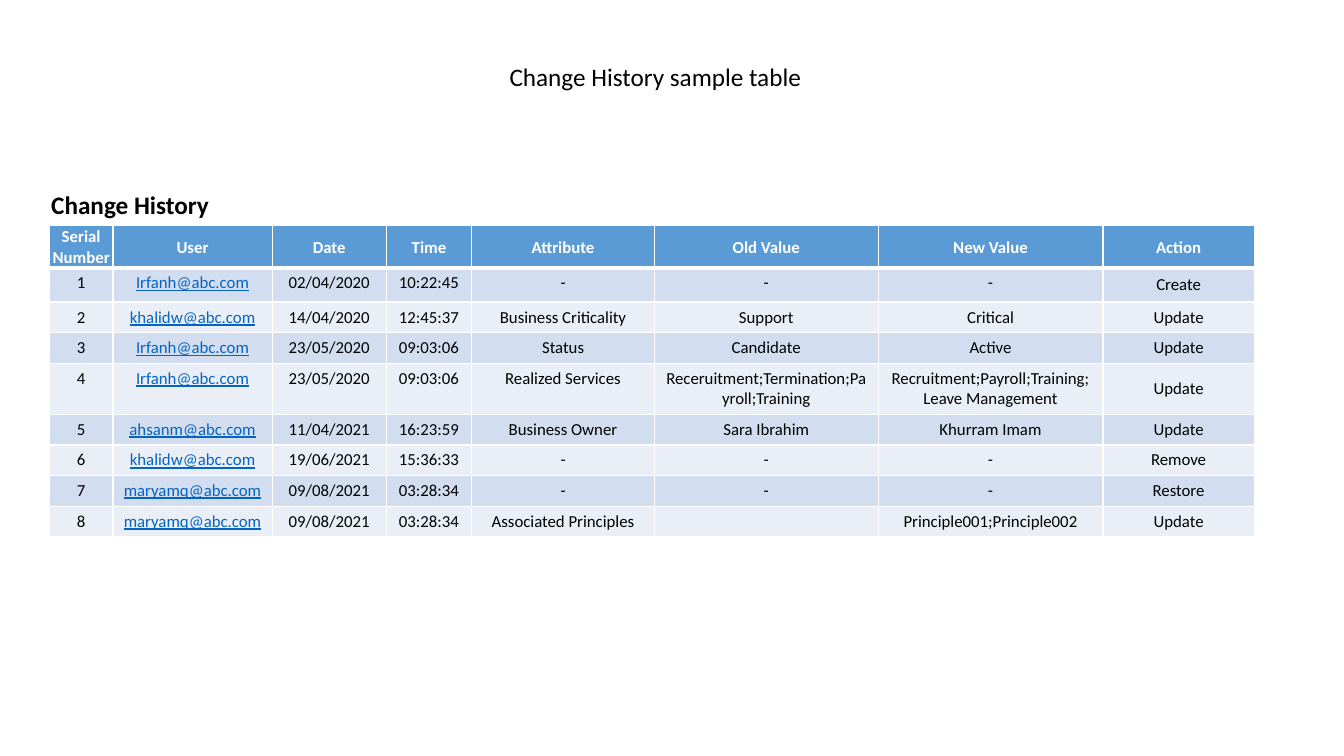
from lxml.etree import SubElement
from pptx import Presentation
from pptx.dml.color import RGBColor
from pptx.enum.text import MSO_ANCHOR as Anchor, PP_ALIGN as Align
from pptx.oxml import parse_xml
from pptx.oxml.ns import nsdecls, qn
from pptx.util import Inches, Pt

WIDTH, HEIGHT = 13.33, 7.5
BLACK, WHITE, LINK, HEADER = "000000", "FFFFFF", "0563C1", "5B9BD5"
BANDS = ("D2DEEF", "EAEFF7")
HEADINGS = ("Serial Number", "User", "Date", "Time", "Attribute", "Old Value", "New Value", "Action")
CHANGES = [
    ("Irfanh@abc.com", "02/04/2020", "10:22:45", "-", "-", "-", "Create"),
    ("khalidw@abc.com", "14/04/2020", "12:45:37", "Business Criticality", "Support", "Critical", "Update"),
    ("Irfanh@abc.com", "23/05/2020", "09:03:06", "Status", "Candidate", "Active", "Update"),
    ("Irfanh@abc.com", "23/05/2020", "09:03:06", "Realized Services",
     "Receruitment;Termination;Payroll;Training", "Recruitment;Payroll;Training;Leave Management", "Update"),
    ("ahsanm@abc.com", "11/04/2021", "16:23:59", "Business Owner", "Sara Ibrahim", "Khurram Imam", "Update"),
    ("khalidw@abc.com", "19/06/2021", "15:36:33", "-", "-", "-", "Remove"),
    ("maryamq@abc.com", "09/08/2021", "03:28:34", "-", "-", "-", "Restore"),
    ("maryamq@abc.com", "09/08/2021", "03:28:34", "Associated Principles", "", "Principle001;Principle002", "Update"),
]
ROWS = [HEADINGS] + [(str(number), *change) for number, change in enumerate(CHANGES, 1)]
COLUMN_WIDTHS = (0.63, 1.58, 1.13, 0.85, 1.81, 2.22, 2.23, 1.5)
ROW_HEIGHTS = (0.41, 0.34, 0.3, 0.3, 0.5, 0.3, 0.3, 0.3, 0.3)
TABLE_LEFT, TABLE_TOP = 0.49, 2.24
TITLES = [
    ("Change History", (0.41, 1.83, 2.01, 0.4), Align.LEFT, True),
    ("Change History sample table", (2.45, 0.56, 8.1, 0.4), Align.CENTER, False),
]
HEADER_MARGINS = {"margin_left": Inches(0.01), "margin_top": Inches(0.01),
                  "margin_right": Inches(0.01), "margin_bottom": 0}


def set_all(target, values):
    for name, value in values.items():
        setattr(target, name, value)


def write(para, text, align, color, **font):
    para.alignment = align
    if not text:
        SubElement(para._p, qn("a:endParaRPr"), sz=str(int(font["size"].pt * 100)))
        return
    span = para.add_run()
    span.text = text
    set_all(span.font, {"name": "Calibri", **font})
    span.font.color.rgb = RGBColor.from_string(color)


def add_borders(cell, top, bottom):
    sides = (("L", 1), ("R", 1), ("T", top), ("B", bottom))
    for index, (side, points) in enumerate(sides):
        line = parse_xml(f'<a:ln{side} {nsdecls("a")} w="{Pt(points)}"><a:solidFill>'
                         f'<a:srgbClr val="{WHITE}"/></a:solidFill></a:ln{side}>')
        cell._tc.get_or_add_tcPr().insert(index, line)


def add_title(page, text, place, align, bold):
    box = page.shapes.add_textbox(*map(Inches, place))
    box.text_frame.word_wrap = True
    write(box.text_frame.paragraphs[0], text, align, BLACK, size=Pt(18), bold=bold)


def fill_cell(cell, text, row, column):
    header = row == 0
    link = not header and HEADINGS[column] == "User"
    middle = header or HEADINGS[column] == "Action"
    cell.fill.solid()
    cell.fill.fore_color.rgb = RGBColor.from_string(HEADER if header else BANDS[(row - 1) % 2])
    cell.vertical_anchor = Anchor.MIDDLE if middle else Anchor.TOP
    if header:
        set_all(cell, HEADER_MARGINS)
    color = WHITE if header else LINK if link else BLACK
    write(cell.text_frame.paragraphs[0], text, Align.CENTER, color,
          size=Pt(12), bold=header, underline=link)
    add_borders(cell, 3 if row == 1 else 1, 3 if header else 1)


def add_history(page):
    place = (TABLE_LEFT, TABLE_TOP, sum(COLUMN_WIDTHS), sum(ROW_HEIGHTS))
    table = page.shapes.add_table(len(ROWS), len(HEADINGS), *map(Inches, place)).table
    for column, width in zip(table.columns, COLUMN_WIDTHS):
        column.width = Inches(width)
    for row, height in zip(table.rows, ROW_HEIGHTS):
        row.height = Inches(height)
    for row, texts in enumerate(ROWS):
        for column, text in enumerate(texts):
            fill_cell(table.cell(row, column), text, row, column)


def main():
    """Build the change history slide."""
    deck = Presentation()
    set_all(deck, {"slide_width": Inches(WIDTH), "slide_height": Inches(HEIGHT)})
    page = deck.slides.add_slide(deck.slide_layouts[6])
    add_history(page)
    for title in TITLES:
        add_title(page, *title)
    deck.save("out.pptx")


if __name__ == "__main__":
    main()
